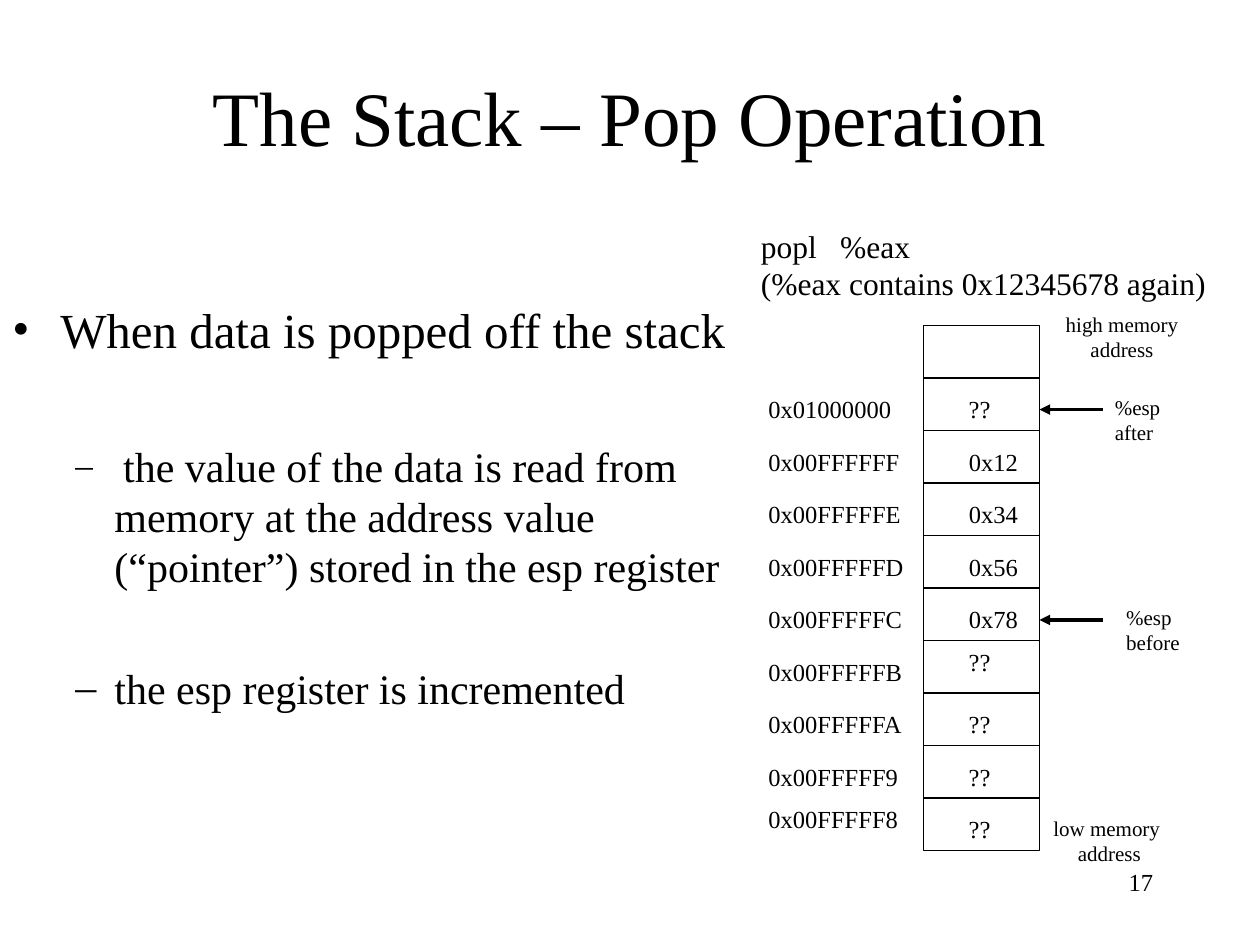
from dataclasses import dataclass

from lxml import etree
from pptx import Presentation
from pptx import util as u
from pptx.dml.color import RGBColor
from pptx.enum import shapes, text
from pptx.oxml.ns import qn

COLORS = {"ink": "000000", "paper": "FFFFFF"}
FONT = "Times New Roman"
LEFT, CENTER, RIGHT = text.PP_ALIGN.LEFT, text.PP_ALIGN.CENTER, text.PP_ALIGN.RIGHT
STACK_LEFT, STACK_TOP = 7.33, 31 / 12
CELL_WIDTH, CELL_HEIGHT = 0.92, 5 / 12
LABEL_DROP = 0.08


@dataclass
class Label:
    words: str
    left: float
    top: float
    width: float
    height: float
    size: float
    align: text.PP_ALIGN = LEFT
    wrap: bool = False


@dataclass
class Row:
    address: str = ""
    address_width: float = 1.26
    value: str = ""
    value_width: float = 0.37
    address_drop: float = LABEL_DROP
    value_drop: float = LABEL_DROP


@dataclass
class Bullet:
    mark: str
    words: str
    size: float
    margin: float
    hang: float
    before: float
    lead: str = ""


LABELS = [
    Label("17", 7.17, 6.83, 2.08, 0.5, 14, RIGHT, True),
    Label("popl\t%eax\n(%eax contains 0x12345678 again)", 5.94, 1.75, 3.75, 0.7, 18),
    Label("high memory \naddress", 8.34, 2.42, 1.13, 0.5, 12, CENTER),
    Label("low memory \naddress", 8.26, 6.42, 1.09, 0.5, 12, CENTER),
    Label("%esp\nafter", 8.75, 3.08, 0.6, 0.5, 12),
    Label("%esp\nbefore", 8.84, 4.75, 0.64, 0.5, 12),
]
ROWS = [
    Row(),
    Row("0x01000000", 1.19, "??"),
    Row("0x00FFFFFF", 1.24, "0x12", 0.59),
    Row("0x00FFFFFE", 1.25, "0x34", 0.59),
    Row("0x00FFFFFD", 1.27, "0x56", 0.59),
    Row("0x00FFFFFC", 1.26, "0x78", 0.59),
    Row("0x00FFFFFB", 1.26, "??", value_drop=0),
    Row("0x00FFFFFA", 1.27, "??"),
    Row("0x00FFFFF9", 1.23, "??"),
    Row("0x00FFFFF8", 1.23, "??", address_drop=0),
]
BULLETS = [
    Bullet("•", "When data is popped off the stack", 28, 0.38, 0.38, 7),
    Bullet("–", "the value of the data is read from memory at the address value "
           "(“pointer”) stored in the esp register", 24, 0.81, 0.31, 46.6, " "),
    Bullet("–", "the esp register is incremented", 24, 0.81, 0.31, 40.8),
]
POINTER_HEIGHTS = [3.25, 4.92]


def color(name: str) -> RGBColor:
    return RGBColor.from_string(COLORS[name])


def style_run(r, size: float) -> None:
    r.font.name = FONT
    r.font.size = u.Pt(size)
    r.font.color.rgb = color("ink")


def draw_label(s, label: Label):
    sp = s.shapes.add_textbox(*map(u.Inches, (label.left, label.top, label.width, label.height)))
    tf = sp.text_frame
    tf.word_wrap = label.wrap
    if not label.wrap:
        tf.auto_size = text.MSO_AUTO_SIZE.SHAPE_TO_FIT_TEXT
    tf.text = label.words
    for p in tf.paragraphs:
        p.alignment = label.align
        if "\t" in p.text:
            tabs = etree.SubElement(p._p.get_or_add_pPr(), qn("a:tabLst"))
            etree.SubElement(tabs, qn("a:tab"), pos=str(u.Inches(0.63)), algn="l")
        for r in p.runs:
            style_run(r, label.size)
    return sp


def draw_row(s, row: Row, index: int) -> None:
    top = STACK_TOP + index * CELL_HEIGHT
    sp = s.shapes.add_shape(shapes.MSO_SHAPE.RECTANGLE, *map(
        u.Inches, (STACK_LEFT, top, CELL_WIDTH, CELL_HEIGHT)))
    sp.shadow.inherit = False
    sp.fill.background()
    sp.line.color.rgb = color("ink")
    sp.line.width = u.Pt(0.75)
    if row.address:
        draw_label(s, Label(row.address, 6, top + row.address_drop, row.address_width, 0.34, 14))
        draw_label(s, Label(row.value, 7.59, top + row.value_drop, row.value_width, 0.34, 14))


def draw_pointer(s, y: float) -> None:
    line = s.shapes.add_connector(shapes.MSO_CONNECTOR.STRAIGHT, *map(
        u.Inches, (8.75, y, STACK_LEFT + CELL_WIDTH, y)))
    line.line.color.rgb = color("ink")
    line.line.width = u.Pt(2)
    etree.SubElement(line.line._get_or_add_ln(), qn("a:tailEnd"), type="triangle")
    etree.SubElement(line._element.spPr, qn("a:effectLst"))


def draw_bullets(s, bullets: list[Bullet]) -> None:
    sp = s.shapes.add_textbox(*map(u.Inches, (0, 2.33, 6.08, 4.5)))
    tf = sp.text_frame
    tf.word_wrap = True
    for i, bullet in enumerate(bullets):
        p = tf.add_paragraph() if i else tf.paragraphs[0]
        p.level = 1 if i else 0
        p.space_before = u.Pt(bullet.before)
        if bullet.lead:
            r = p.add_run()
            r.text = bullet.lead
            style_run(r, 20)
        r = p.add_run()
        r.text = bullet.words
        style_run(r, bullet.size)
        props = p._p.get_or_add_pPr()
        props.set("marL", str(u.Inches(bullet.margin)))
        props.set("indent", str(-u.Inches(bullet.hang)))
        fill = etree.SubElement(props, qn("a:buClr"))
        etree.SubElement(fill, qn("a:srgbClr"), val=COLORS["ink"])
        etree.SubElement(props, qn("a:buFont"), typeface=FONT)
        etree.SubElement(props, qn("a:buChar"), char=bullet.mark)


def main() -> None:
    prs = Presentation()
    prs.slide_width, prs.slide_height = u.Inches(10), u.Inches(7.5)
    s = prs.slides.add_slide(prs.slide_layouts[6])
    s.background.fill.solid()
    s.background.fill.fore_color.rgb = color("paper")
    title = draw_label(s, Label("The Stack – Pop Operation", 0.75, 0.42, 8.5, 1, 44, CENTER, True))
    title.text_frame.vertical_anchor = text.MSO_ANCHOR.MIDDLE
    draw_bullets(s, BULLETS)
    for index, row in enumerate(ROWS):
        draw_row(s, row, index)
    for label in LABELS:
        draw_label(s, label)
    for y in POINTER_HEIGHTS:
        draw_pointer(s, y)
    prs.save("out.pptx")


if __name__ == "__main__":
    main()
